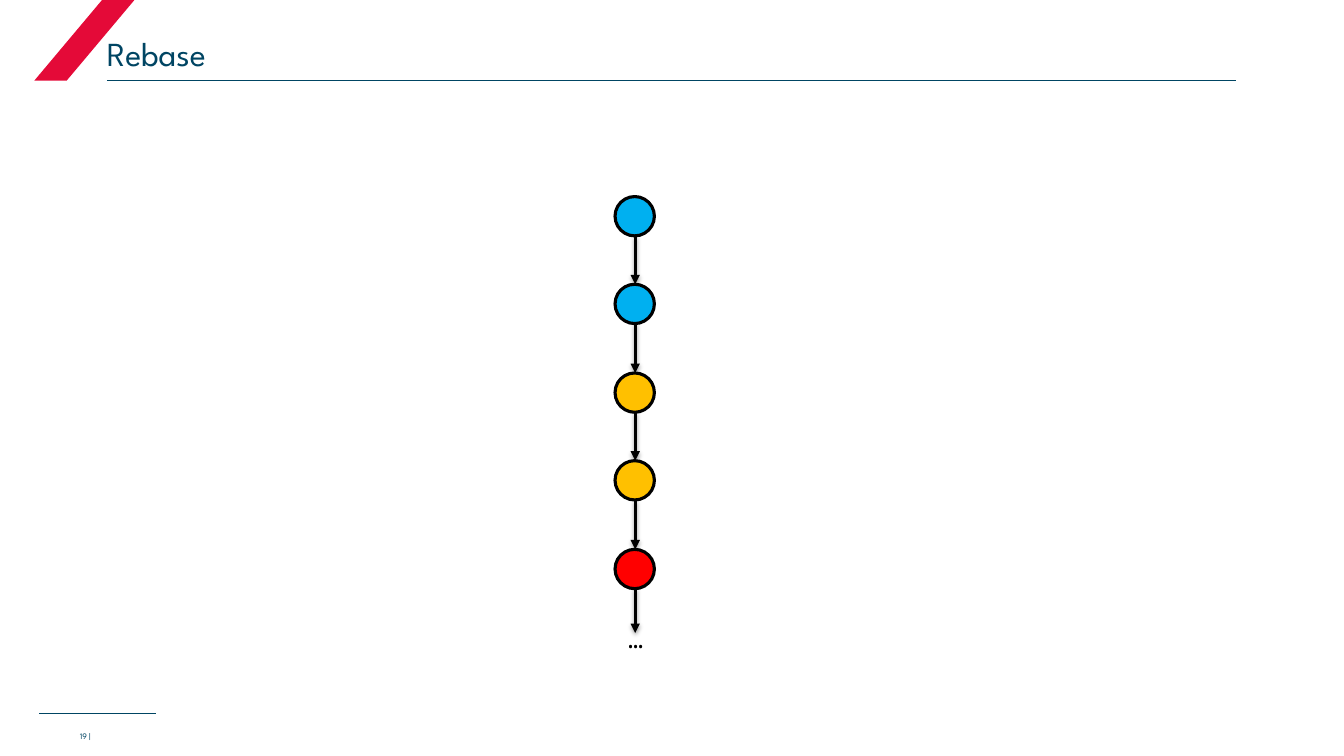
from lxml.etree import SubElement
from pptx import Presentation
from pptx.dml.color import RGBColor
from pptx.enum.shapes import MSO_CONNECTOR, MSO_SHAPE
from pptx.enum.text import MSO_ANCHOR, PP_ALIGN
from pptx.oxml.ns import qn
from pptx.util import Emu, Pt

PX = 9144
NAVY = RGBColor(0x00, 0x45, 0x63)
CRIMSON = RGBColor(0xE4, 0x0A, 0x38)
BLACK = RGBColor(0x00, 0x00, 0x00)
BLUE = RGBColor(0x00, 0xB0, 0xF0)
AMBER = RGBColor(0xFF, 0xC0, 0x00)
RED = RGBColor(0xFF, 0x00, 0x00)


def px(*lengths):
    return [Emu(length * PX) for length in lengths]


class Canvas:
    font = "League Spartan"
    stroke = Pt(2.25)
    hairline = Pt(0.5)

    def __init__(self, page):
        self.page = page

    def shape(self, kind, bounds, fill, outline=None):
        shape = self.page.shapes.add_shape(kind, *px(*bounds))
        shape.shadow.inherit = False
        shape.fill.solid()
        shape.fill.fore_color.rgb = fill
        if outline is None:
            shape.line.fill.background()
        else:
            shape.line.color.rgb = outline
            shape.line.width = self.stroke
        return shape

    def line(self, ends, color, width):
        line = self.page.shapes.add_connector(MSO_CONNECTOR.STRAIGHT, *px(*ends))
        line.line.color.rgb = color
        line.line.width = width
        effects = SubElement(line._element.spPr, qn("a:effectLst"))
        return line, effects

    def rule(self, left, right, top):
        self.line((left, top, right, top), NAVY, self.hairline)

    def arrow(self, center, top, bottom):
        line, effects = self.line((center, top, center, bottom), BLACK, self.stroke)
        SubElement(line.line._get_or_add_ln(), qn("a:tailEnd"), type="triangle")
        shadow = SubElement(effects, qn("a:outerShdw"), blurRad=str(Pt(3.1)),
                            dist=str(Pt(1.6)), dir="5400000", rotWithShape="0")
        shade = SubElement(shadow, qn("a:srgbClr"), val=str(BLACK))
        SubElement(shade, qn("a:alpha"), val="38000")

    def text(self, bounds, words, size, color=NAVY, font=font,
             anchor=MSO_ANCHOR.BOTTOM, align=PP_ALIGN.LEFT, wrap=True):
        box = self.page.shapes.add_textbox(*px(*bounds))
        frame = box.text_frame
        frame.word_wrap = wrap
        frame.vertical_anchor = anchor
        frame.margin_left = frame.margin_right = 0
        frame.margin_top = frame.margin_bottom = 0
        para = frame.paragraphs[0]
        para.alignment = align
        span = para.add_run()
        span.text = words
        span.font.name = font
        span.font.size = Pt(size)
        span.font.color.rgb = color


def draw_frame(canvas):
    canvas.rule(39, 155, 708)
    ribbon = canvas.shape(MSO_SHAPE.PARALLELOGRAM, (34, -2, 101, 82), CRIMSON)
    ribbon.adjustments[0] = 0.84
    canvas.rule(106, 1226, 80)
    canvas.text((106, 36, 1120, 37), "Rebase", 24)
    canvas.text((22, 712, 68, 23), "19 |", 6, align=PP_ALIGN.RIGHT)


def draw_history(canvas):
    center, size, first_top = 630, 39, 195
    commits = [BLUE, BLUE, AMBER, AMBER, RED]
    tops = [first_top + 175 * step // 2 for step in range(len(commits))]
    targets = tops[1:] + [628]
    for color, top, target in zip(commits, tops, targets):
        canvas.shape(MSO_SHAPE.OVAL, (center - 20, top, size, size), color, BLACK)
        canvas.arrow(center, top + size, target)
    canvas.text((623, 618, 14, 30), "…", 18, BLACK, "Noto Sans Mono",
                MSO_ANCHOR.TOP, wrap=False)


def main():
    deck = Presentation()
    deck.slide_width, deck.slide_height = px(1333, 750)
    page = deck.slides.add_slide(deck.slide_layouts[6])
    canvas = Canvas(page)
    draw_frame(canvas)
    draw_history(canvas)
    deck.save("out.pptx")


if __name__ == "__main__":
    main()
